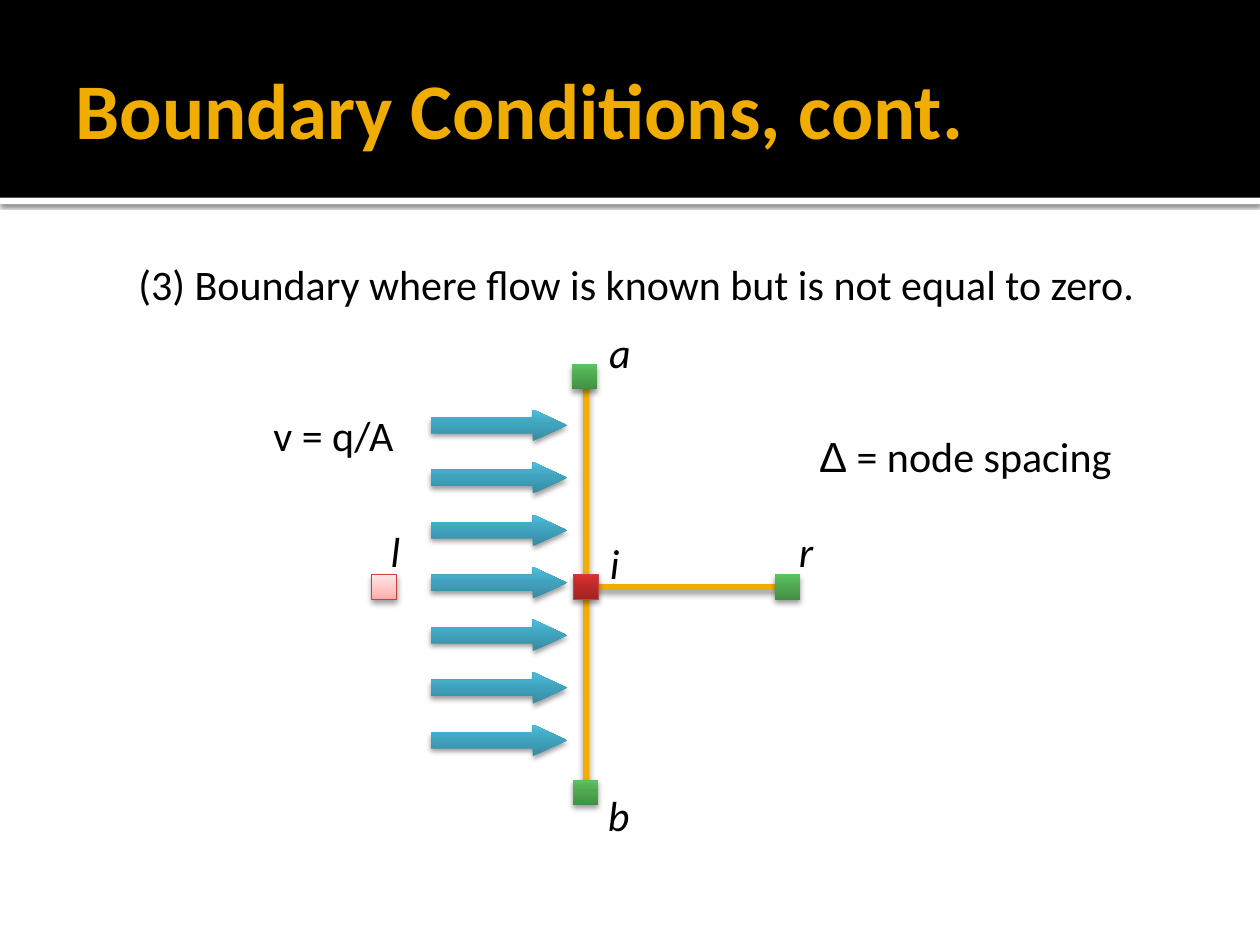
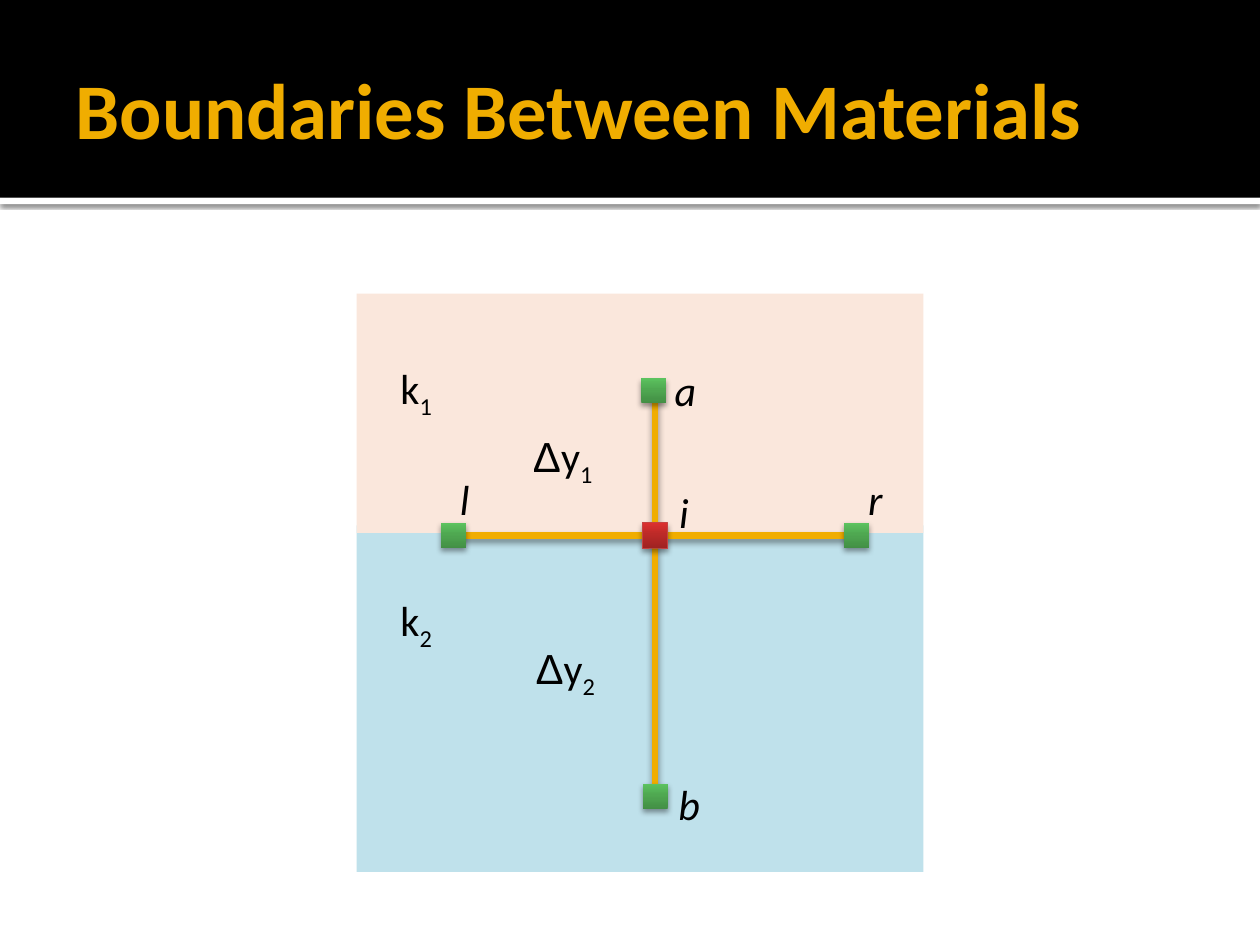
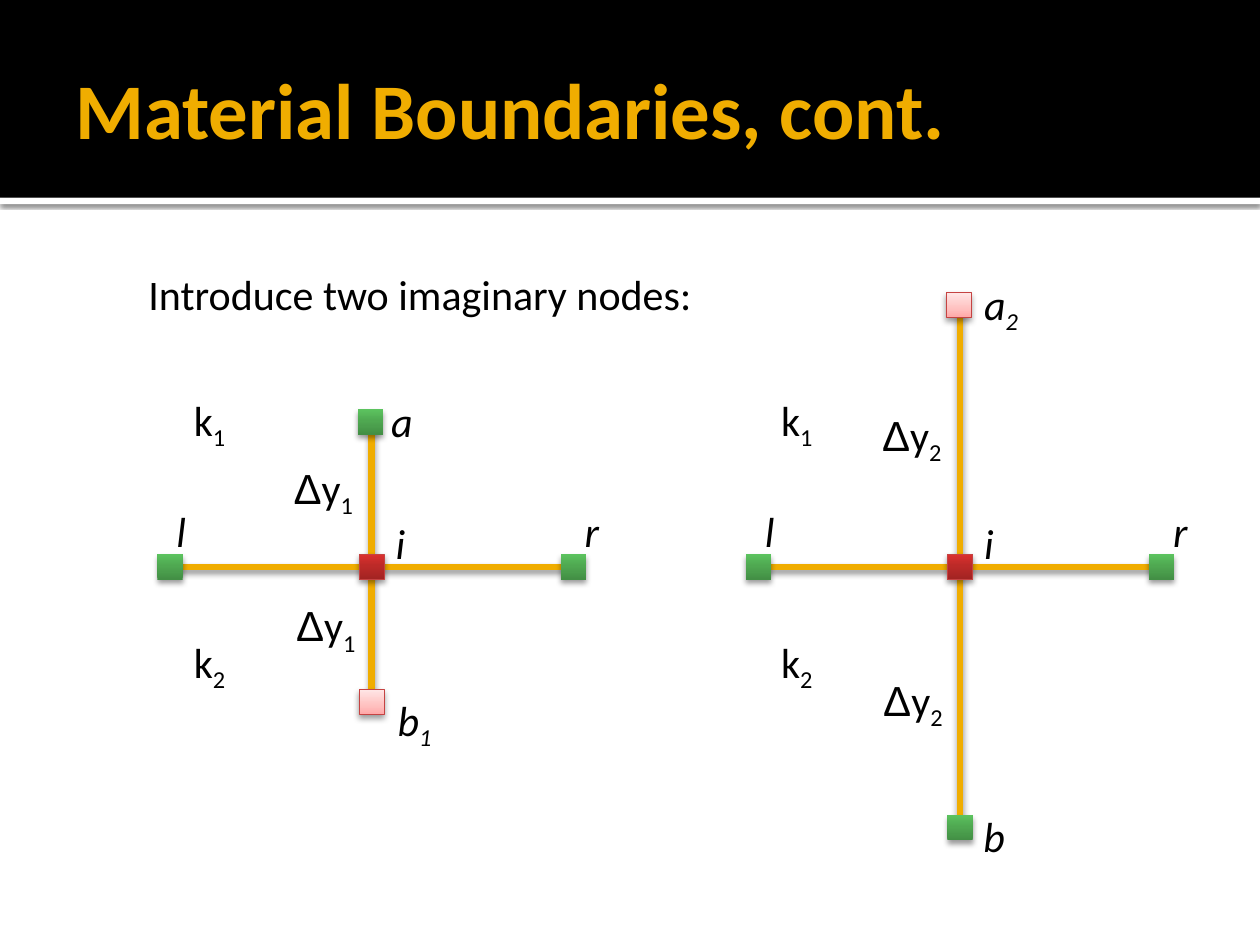
from pptx import Presentation
from pptx.dml.color import RGBColor
from pptx.enum.shapes import MSO_CONNECTOR, MSO_SHAPE
from pptx.enum.text import MSO_ANCHOR, MSO_AUTO_SIZE, PP_ALIGN
from pptx.oxml import parse_xml
from pptx.oxml.ns import nsdecls
from pptx.util import Inches, Pt

# Shared look
BLACK = RGBColor(0x00, 0x00, 0x00)
WHITE = RGBColor(0xFF, 0xFF, 0xFF)
GOLD = RGBColor(0xF0, 0xAD, 0x00)
NODE_EDGE = RGBColor(0xC5, 0x43, 0x42)
UPPER_SOIL = RGBColor(0xFA, 0xE7, 0xDC)
LOWER_SOIL = RGBColor(0xBF, 0xE1, 0xEB)

# Gradient stops run from the bottom of a shape to its top
FLOW = [(0, "378BA2"), (55, "41A4BF"), (100, "4BBFDE")]
GREEN = [(0, "438F45"), (55, "4FA851"), (100, "5CC35F")]
RED = [(0, "A02322"), (55, "BC2A28"), (100, "DC302F")]
PINK = [(0, "FFA7A7"), (35, "FFC1C0"), (100, "FFE7E7")]

# Shadows: opacity %, blur and distance in points
BAND_SHADOW = (60, 2.5, 0.8)
SHAPE_SHADOW = (38, 3.1, 2)
LINE_SHADOW = (38, 3.5, 2)

BODY_FONT = {"name": "Calibri", "size": Pt(24)}
TITLE_FONT = {"name": "Calibri", "size": Pt(45), "bold": True}
NODE_SIZE = 0.2
NODE_SPACING = 1.6

# Content; "_" starts a subscript
# corner: left and top of node i; above, below: distances to nodes a and b
# a, b: label, its offset from the node and its width
# notes: text, left, top, width, height
SLIDES = [
    {
        "title": "Boundary Conditions, cont.",
        "statement": ("(3) Boundary where flow is known but is not equal to zero.",
                      1, 2, 8.25, 0.5),
        "arrows": {"count": 7, "left": 3.42, "top": 3.25, "step": 2.5 / 6},
        "stencils": [
            {"corner": (4.55, 4.56), "above": 1.67, "below": 1.63,
             "imaginary": "l", "a": ("a", 0.24, -0.3, 0.28),
             "b": ("b", 0.22, 0.08, 0.28)},
        ],
        "notes": [("v = q/A", 2.17, 3.25, 1.17, 0.4),
                  ("Δ = node spacing", 6.5, 3.42, 2.42, 0.4)],
    },
    {
        "title": "Boundaries Between Materials",
        "soils": [(LOWER_SOIL, 2.83, 4.17, 4.5, 2.75),
                  (UPPER_SOIL, 2.83, 2.33, 4.5, 1.9)],
        "stencils": [
            {"corner": (5.1, 4.15), "above": 1.15, "below": 2.07,
             "a": ("a", 0.21, -0.11, 0.28), "b": ("b", 0.23, -0.04, 0.28)},
        ],
        "notes": [("Δy_1", 4.23, 3.42, 0.49, 0.4), ("Δy_2", 4.25, 5.1, 0.49, 0.4),
                  ("k_1", 3.08, 2.83, 0.48, 0.5), ("k_2", 3.08, 4.67, 0.48, 0.5)],
    },
    {
        "title": "Material Boundaries, cont.",
        "statement": ("Introduce two imaginary nodes:", 1.08, 2.08, 4.6, 0.5),
        "stencils": [
            {"corner": (2.85, 4.4), "above": 1.15, "below": 1.07,
             "imaginary": "b", "a": ("a", 0.21, -0.11, 0.28),
             "b": ("b_1", 0.23, 0.04, 0.42)},
            {"corner": (7.52, 4.4), "above": 2.08, "below": 2.07,
             "imaginary": "a", "a": ("a_2", 0.21, -0.11, 0.45),
             "b": ("b", 0.23, -0.04, 0.28)},
        ],
        "notes": [("Δy_1", 2.33, 3.67, 0.49, 0.4), ("Δy_1", 2.35, 4.76, 0.49, 0.4),
                  ("k_1", 1.44, 3.08, 0.48, 0.5), ("k_2", 1.44, 5, 0.48, 0.5),
                  ("Δy_2", 7, 3.25, 0.49, 0.4), ("Δy_2", 7.01, 5.35, 0.49, 0.4),
                  ("k_1", 6.1, 3.08, 0.48, 0.5), ("k_2", 6.1, 5, 0.48, 0.5)],
    },
]


def apply(target, **values):
    for name, value in values.items():
        setattr(target, name, value)


def add_shadow(shape, opacity, blur, distance):
    shape.element.spPr.append(parse_xml(
        f'<a:effectLst {nsdecls("a")}><a:outerShdw blurRad="{Pt(blur)}" '
        f'dist="{Pt(distance)}" dir="5400000" algn="ctr" rotWithShape="0">'
        f'<a:srgbClr val="000000"><a:alpha val="{opacity * 1000}"/></a:srgbClr>'
        '</a:outerShdw></a:effectLst>'))


def add_block(page, kind, place, fill, edge=None, shadow=None):
    """Draw a preset shape; fill is one colour or a list of gradient stops."""
    shape = page.shapes.add_shape(kind, *map(Inches, place))
    if isinstance(fill, RGBColor):
        shape.fill.solid()
        shape.fill.fore_color.rgb = fill
    else:
        stops = "".join(f'<a:gs pos="{spot * 1000}"><a:srgbClr val="{colour}"/></a:gs>'
                        for spot, colour in fill)
        shape.element.spPr.insert(2, parse_xml(
            f'<a:gradFill {nsdecls("a")} rotWithShape="1"><a:gsLst>{stops}</a:gsLst>'
            '<a:lin ang="16200000" scaled="0"/></a:gradFill>'))
    if edge:
        shape.line.color.rgb = edge
        shape.line.width = Pt(0.5)
    else:
        shape.line.fill.background()
    if shadow:
        add_shadow(shape, *shadow)
    else:
        shape.shadow.inherit = False
    return shape


def add_line(page, start, end):
    line = page.shapes.add_connector(
        MSO_CONNECTOR.STRAIGHT, *map(Inches, (*start, *end)))
    line.line.color.rgb = GOLD
    line.line.width = Pt(3.78)
    add_shadow(line, *LINE_SHADOW)


def add_text(page, text, left, top, width, height,
             italic=None, centred=False, wrap=False):
    """Write a label; boxes 0.5 high keep the usual insets."""
    box = page.shapes.add_textbox(*map(Inches, (left, top, width, height)))
    frame = box.text_frame
    apply(frame, word_wrap=wrap, auto_size=MSO_AUTO_SIZE.SHAPE_TO_FIT_TEXT)
    if height < 0.5:
        apply(frame, margin_left=0, margin_top=0, margin_right=0, margin_bottom=0)
    para = frame.paragraphs[0]
    if centred:
        para.alignment = PP_ALIGN.CENTER
    base, _, subscript = text.partition("_")
    delta = "Δ" if base.startswith("Δ") else ""
    for part in filter(None, (delta, base[len(delta):], subscript)):
        span = para.add_run()
        span.text = part
        apply(span.font, **BODY_FONT, italic=italic)
        span.font.color.rgb = BLACK
        if part == "Δ":
            span.font.name = "Arial"
    if subscript:
        span._r.get_or_add_rPr().set("baseline", "-25000")
    return box


def add_stencil(page, stencil):
    """Draw node i with its neighbours l, r, a and b."""
    left, top = stencil["corner"]
    imaginary = stencil.get("imaginary")
    nodes = {
        "i": (left, top),
        "r": (left + NODE_SPACING, top),
        "l": (left - NODE_SPACING, top),
        "b": (left, top + stencil["below"]),
        "a": (left - 0.01, top - stencil["above"]),
    }
    half = NODE_SIZE / 2
    centre = {name: (x + half, y + half) for name, (x, y) in nodes.items()}

    # Links; an imaginary left node stays unlinked
    add_line(page, centre["i" if imaginary == "l" else "l"], centre["r"])
    add_line(page, (centre["i"][0], centre["a"][1]), centre["b"])

    # Labels
    labels = {"i": ("i", 0.29, -0.29, 0.08), "l": ("l", 0.15, -0.39, 0.08),
              "r": ("r", 0.19, -0.39, 0.12), "a": stencil["a"], "b": stencil["b"]}
    for name, (text, shift, drop, width) in labels.items():
        x, y = nodes[name]
        fixed = name in "ab"
        add_text(page, text, x + shift, y + drop, width, 0.4,
                 italic=True, centred=fixed, wrap=fixed)

    # Nodes
    for name, (x, y) in nodes.items():
        fill = PINK if name == imaginary else RED if name == "i" else GREEN
        add_block(page, MSO_SHAPE.RECTANGLE, (x, y, NODE_SIZE, NODE_SIZE), fill,
                  edge=None if fill is GREEN else NODE_EDGE,
                  shadow=LINE_SHADOW if fill is PINK else SHAPE_SHADOW)


def prepare_layout(layout, page):
    """Place the title and move the header bands into the layout."""
    bands = [add_block(page, MSO_SHAPE.RECTANGLE, (0, 1.57, 10, 0.05), WHITE,
                       shadow=BAND_SHADOW),
             add_block(page, MSO_SHAPE.RECTANGLE, (0, 0, 10, 1.57), BLACK)]
    for position, band in enumerate(bands, start=2):
        layout.shapes.element.insert(position, band.element)
    title = layout.placeholders[0]
    apply(title, left=Inches(0.5), top=Inches(0.17),
          width=Inches(9), height=Inches(1.37))
    apply(title.text_frame, vertical_anchor=MSO_ANCHOR.MIDDLE,
          auto_size=MSO_AUTO_SIZE.NONE, margin_left=Inches(0.1),
          margin_top=Inches(0.05), margin_right=Inches(0.05),
          margin_bottom=Inches(0.05))


def add_title(page, text):
    para = page.shapes.title.text_frame.paragraphs[0]
    para.alignment = PP_ALIGN.LEFT
    span = para.add_run()
    span.text = text
    apply(span.font, **TITLE_FONT)
    span.font.color.rgb = GOLD


def main():
    deck = Presentation()
    apply(deck, slide_width=Inches(10), slide_height=Inches(7.5))
    layout = deck.slide_layouts[5]
    for number, content in enumerate(SLIDES):
        page = deck.slides.add_slide(layout)
        if number == 0:
            prepare_layout(layout, page)
        add_title(page, content["title"])

        # Materials
        for colour, *place in content.get("soils", []):
            add_block(page, MSO_SHAPE.RECTANGLE, place, colour)

        # Opening statement
        if "statement" in content:
            box = add_text(page, *content["statement"], wrap=True)
            box.text_frame.vertical_anchor = MSO_ANCHOR.MIDDLE

        # Inflow arrows
        arrows = content.get("arrows", {"count": 0})
        for index in range(arrows["count"]):
            top = arrows["top"] + index * arrows["step"]
            arrow = add_block(page, MSO_SHAPE.RIGHT_ARROW,
                              (arrows["left"], top, 1.08, 0.25), FLOW,
                              shadow=SHAPE_SHADOW)
            arrow.adjustments[1] = 1.08

        # Node diagrams and their notes
        for stencil in content["stencils"]:
            add_stencil(page, stencil)
        for note in content["notes"]:
            add_text(page, *note)
    deck.save("out.pptx")


if __name__ == "__main__":
    main()
